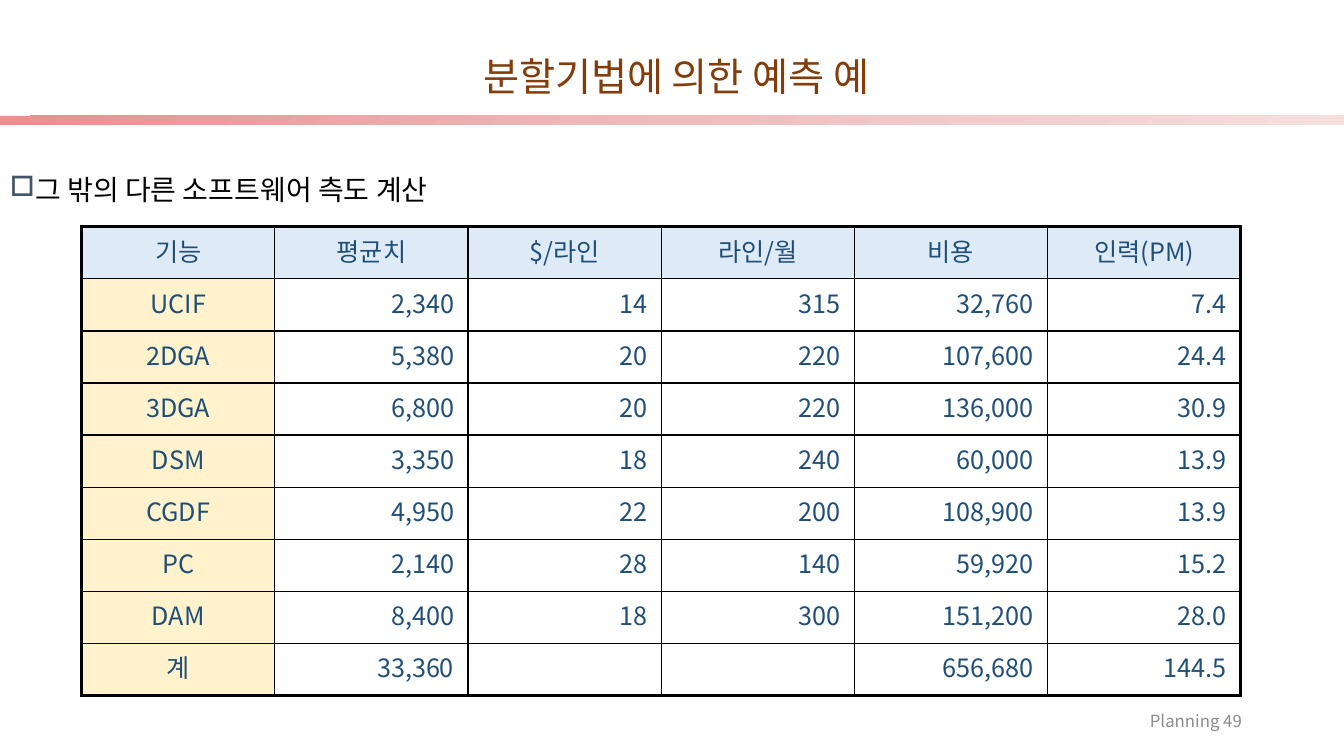
"""Build the slide with the table of effort and cost estimates."""
from copy import deepcopy
from dataclasses import dataclass

from lxml.etree import SubElement
from pptx import Presentation
from pptx.dml.color import RGBColor
from pptx.enum.shapes import MSO_SHAPE as Shape
from pptx.enum.text import MSO_ANCHOR as Anchor, PP_ALIGN as Align
from pptx.oxml.ns import qn
from pptx.util import Pt

FONT = "Noto Sans CJK KR"
EDGE, GRID = 2.25, 1
WIDE, HIGH = 138, 37.2
SHADES = ("E98F8F", "EFBCBC", "F7DEDE")
ROWS = (
    ("기능", "평균치", "$/라인", "라인/월", "비용", "인력(PM)"),
    ("UCIF", "2,340", "14", "315", "32,760", "7.4"),
    ("2DGA", "5,380", "20", "220", "107,600", "24.4"),
    ("3DGA", "6,800", "20", "220", "136,000", "30.9"),
    ("DSM", "3,350", "18", "240", "60,000", "13.9"),
    ("CGDF", "4,950", "22", "200", "108,900", "13.9"),
    ("PC", "2,140", "28", "140", "59,920", "15.2"),
    ("DAM", "8,400", "18", "300", "151,200", "28.0"),
    ("계", "33,360", "", "", "656,680", "144.5"),
)


@dataclass
class Label:
    text: str
    left: float
    top: float
    width: float
    height: float
    size: float
    color: str
    align: Align
    anchor: Anchor = Anchor.MIDDLE
    space: float = 1.0
    bullet: str = ""


LABELS = (
    Label("Planning 49", 678.24, 500.4, 216, 28.8, 12, "8C8C8C", Align.RIGHT),
    Label("분할기법에 의한 예측 예", 43.2, 34.56, 879.84, 43.92, 28, "843C0B",
          Align.CENTER, space=0.9),
    Label("그 밖의 다른 소프트웨어 측도 계산", 0, 122.4, 619.92, 417.6, 20, "000000",
          Align.LEFT, Anchor.TOP, 0.9, "□"),
)


def paint(hue: str) -> RGBColor:
    return RGBColor.from_string(hue)


def add_run(para, text: str, size: float, color: str) -> None:
    run = para.add_run()
    run.text = text
    run.font.size = Pt(size)
    run.font.name = FONT
    run.font.color.rgb = paint(color)
    SubElement(run.font._element, qn("a:ea"), typeface=FONT)


def add_bullet(para, mark: str, color: str) -> None:
    props = para._p.get_or_add_pPr()
    props.set("marL", str(Pt(18)))
    props.set("indent", str(-Pt(18)))
    tint = SubElement(props, qn("a:buClr"))
    SubElement(tint, qn("a:srgbClr"), val=color)
    SubElement(props, qn("a:buChar"), char=mark)


def draw_label(slide, item: Label) -> None:
    box = slide.shapes.add_textbox(
        Pt(item.left), Pt(item.top), Pt(item.width), Pt(item.height))
    frame = box.text_frame
    frame.word_wrap = True
    frame.vertical_anchor = item.anchor
    para = frame.paragraphs[0]
    para.alignment = item.align
    para.line_spacing = item.space
    if item.bullet:
        add_bullet(para, item.bullet, "44546A")
    add_run(para, item.text, item.size, item.color)


def draw_bar(slide) -> None:
    bar = slide.shapes.add_shape(Shape.RECTANGLE, 0, Pt(82.8), Pt(960), Pt(6.48))
    bar.shadow.inherit = False
    bar.line.fill.background()
    bar.fill.gradient()
    bar.fill.gradient_angle = 315
    stops = bar._element.spPr.find(".//" + qn("a:gsLst"))
    stops.insert(1, deepcopy(stops[0]))
    for rank, (stop, hue) in enumerate(zip(bar.fill.gradient_stops, SHADES)):
        stop.position = rank / 2
        stop.color.rgb = paint(hue)


def set_edges(cell, row: int, col: int) -> None:
    outer = {"L": col == 0, "R": col == len(ROWS[0]) - 1,
             "T": row == 0, "B": row == len(ROWS) - 1}
    props = cell._tc.get_or_add_tcPr()
    for rank, (side, thick) in enumerate(outer.items()):
        line = SubElement(props, qn(f"a:ln{side}"), w=str(Pt(EDGE if thick else GRID)))
        fill = SubElement(line, qn("a:solidFill"))
        SubElement(fill, qn("a:srgbClr"), val="000000")
        props.insert(rank, line)


def fill_cell(cell, text: str, row: int, col: int) -> None:
    cell.margin_left = cell.margin_right = Pt(10)
    cell.margin_top = cell.margin_bottom = Pt(3.6)
    cell.fill.solid()
    hue = "DEEBF7" if row == 0 else "FFF2CC" if col == 0 else "FFFFFF"
    cell.fill.fore_color.rgb = paint(hue)
    set_edges(cell, row, col)
    if text:
        para = cell.text_frame.paragraphs[0]
        para.alignment = Align.RIGHT if row and col else Align.CENTER
        add_run(para, text, 18, "1F4E79")


def draw_table(slide) -> None:
    count, span = len(ROWS), len(ROWS[0])
    table = slide.shapes.add_table(
        count, span, Pt(58.32), Pt(162), Pt(WIDE * span), Pt(HIGH * count)).table
    table.first_row = table.horz_banding = False
    for col in table.columns:
        col.width = Pt(WIDE)
    for row, texts in enumerate(ROWS):
        table.rows[row].height = Pt(HIGH)
        for col, text in enumerate(texts):
            fill_cell(table.cell(row, col), text, row, col)


def main() -> None:
    deck = Presentation()
    deck.slide_width, deck.slide_height = Pt(960), Pt(540)
    slide = deck.slides.add_slide(deck.slide_layouts[6])
    draw_bar(slide)
    draw_table(slide)
    for item in LABELS:
        draw_label(slide, item)
    deck.save("out.pptx")


if __name__ == "__main__":
    main()
